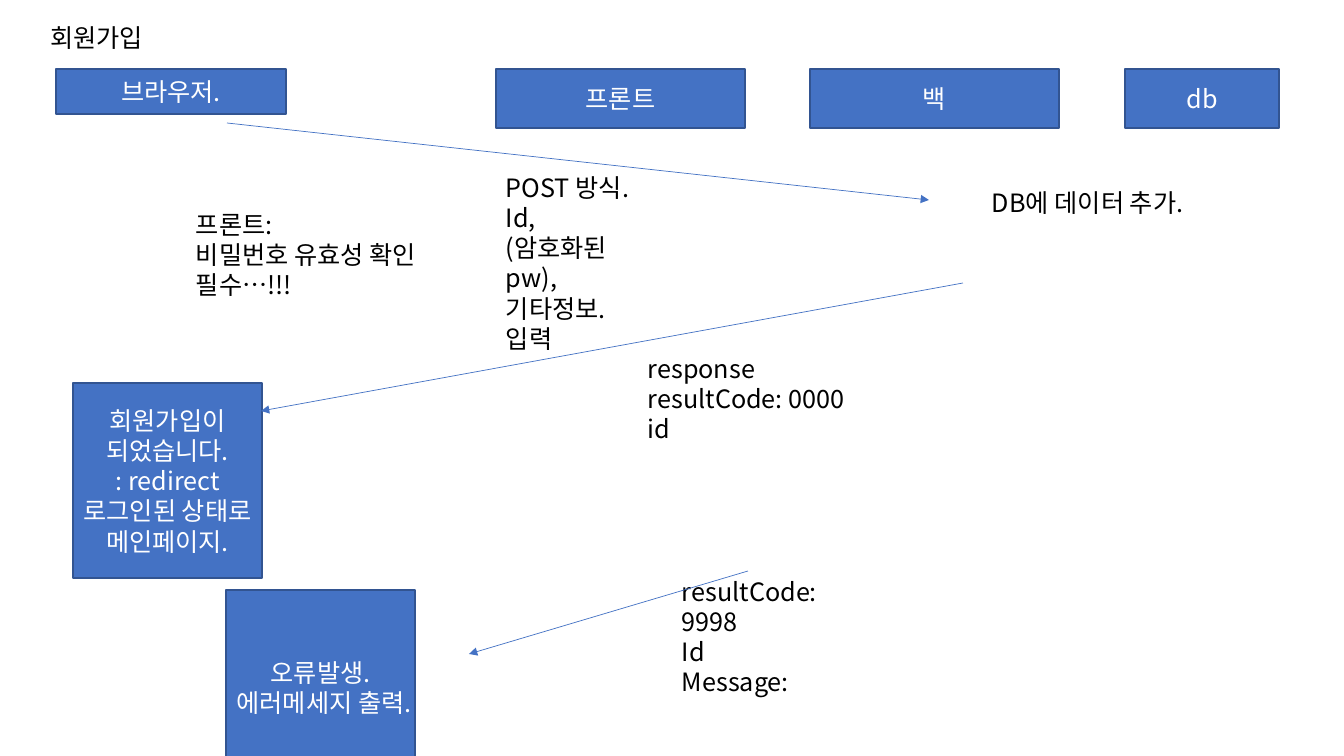
from dataclasses import dataclass
from lxml import etree
from pptx import Presentation
from pptx.dml.color import RGBColor
from pptx.enum.shapes import MSO_CONNECTOR, MSO_SHAPE
from pptx.enum.text import MSO_ANCHOR, MSO_AUTO_SIZE, PP_ALIGN
from pptx.oxml.ns import qn
from pptx.util import Emu, Pt

RECT = MSO_SHAPE.RECTANGLE
LINE = MSO_CONNECTOR.STRAIGHT
LEFT, CENTER = PP_ALIGN.LEFT, PP_ALIGN.CENTER
TOP, MIDDLE = MSO_ANCHOR.TOP, MSO_ANCHOR.MIDDLE
FIT = MSO_AUTO_SIZE.SHAPE_TO_FIT_TEXT
TITLE_ONLY = 5
SCALE = 914400 / 100.8


@dataclass(frozen=True)
class Theme:
    font: str = "Noto Sans CJK KR"
    size: float = 18
    fill: RGBColor = RGBColor(0x44, 0x72, 0xC4)
    edge: RGBColor = RGBColor(0x32, 0x54, 0x91)
    light: RGBColor = RGBColor(0xFF, 0xFF, 0xFF)
    dark: RGBColor = RGBColor(0, 0, 0)
    border: float = 1
    stroke: float = 0.5


@dataclass(frozen=True)
class Block:
    x: int
    y: int
    w: int
    h: int
    text: str


@dataclass(frozen=True)
class Arrow:
    x1: int
    y1: int
    x2: int
    y2: int


THEME = Theme()


def px(n: int) -> Emu:
    return Emu(round(n * SCALE))


def area(b: Block) -> tuple[Emu, ...]:
    return px(b.x), px(b.y), px(b.w), px(b.h)


def write(frame, text: str, color: RGBColor, align, anchor) -> None:
    frame.word_wrap = True
    frame.vertical_anchor = anchor
    frame.text = text
    for para in frame.paragraphs:
        para.alignment = align
        font = para.font
        font.name, font.size = THEME.font, Pt(THEME.size)
        font.color.rgb = color
        # Hangul takes its face from the East Asian slot
        props = para._p.pPr.find(qn("a:defRPr"))
        etree.SubElement(props, qn("a:ea"), typeface=THEME.font)


def add_box(slide, b: Block) -> None:
    shape = slide.shapes.add_shape(RECT, *area(b))
    shape.shadow.inherit = False
    shape.fill.solid()
    shape.fill.fore_color.rgb = THEME.fill
    shape.line.color.rgb = THEME.edge
    shape.line.width = Pt(THEME.border)
    write(shape.text_frame, b.text, THEME.light, CENTER, MIDDLE)


def add_note(slide, b: Block) -> None:
    frame = slide.shapes.add_textbox(*area(b)).text_frame
    write(frame, b.text, THEME.dark, LEFT, TOP)
    frame.auto_size = FIT


def add_arrow(slide, a: Arrow) -> None:
    link = slide.shapes.add_connector(LINE, px(a.x1), px(a.y1), px(a.x2), px(a.y2))
    link.line.color.rgb = THEME.fill
    link.line.width = Pt(THEME.stroke)
    etree.SubElement(link.line._get_or_add_ln(), qn("a:tailEnd"), type="triangle")
    etree.SubElement(link._element.spPr, qn("a:effectLst"))


def set_title(slide, b: Block) -> None:
    title = slide.shapes.title
    title.left, title.top, title.width, title.height = area(b)
    write(title.text_frame, b.text, THEME.dark, LEFT, TOP)
    title.text_frame.auto_size = FIT


HEAD = Block(40, 17, 272, 40, "회원가입")

BOXES = [
    # Actors
    Block(56, 69, 230, 45, "브라우저."),
    Block(496, 69, 249, 59, "프론트"),
    Block(810, 69, 249, 59, "백"),
    Block(1125, 69, 154, 59, "db"),
    # Outcomes
    Block(73, 383, 189, 195,
          "회원가입이 되었습니다.\n: redirect 로그인된 상태로 메인페이지."),
    Block(226, 590, 189, 195, "오류발생.\n에러메세지 출력."),
]

NOTES = [
    Block(496, 167, 156, 194, "POST 방식.\nId,\n(암호화된pw),\n기타정보.\n입력"),
    Block(638, 348, 279, 132, "response\nresultCode: 0000\nid"),
    Block(672, 571, 156, 163, "resultCode:\n9998\nId\nMessage:"),
    Block(982, 182, 311, 40, "DB에 데이터 추가."),
    Block(186, 204, 250, 102, "프론트:\n비밀번호 유효성 확인 필수…!!!"),
]

# Request, success reply, error reply
ARROWS = [
    Arrow(227, 123, 929, 200),
    Arrow(963, 283, 261, 411),
    Arrow(748, 571, 469, 654),
]

deck = Presentation()
deck.slide_width, deck.slide_height = px(1344), px(756)
slide = deck.slides.add_slide(deck.slide_layouts[TITLE_ONLY])

set_title(slide, HEAD)
for box in BOXES:
    add_box(slide, box)
for note in NOTES:
    add_note(slide, note)
for arrow in ARROWS:
    add_arrow(slide, arrow)

deck.save("out.pptx")
